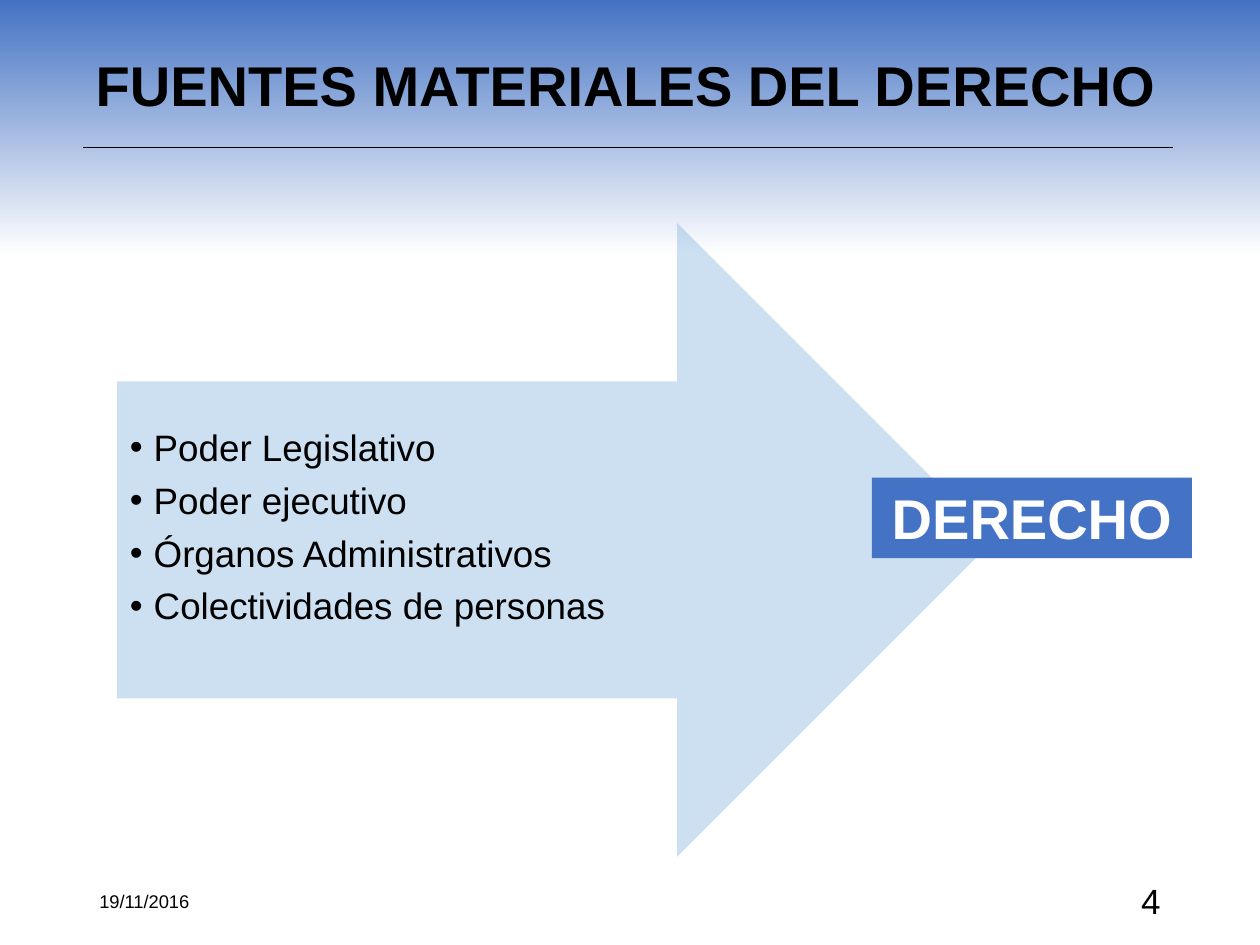
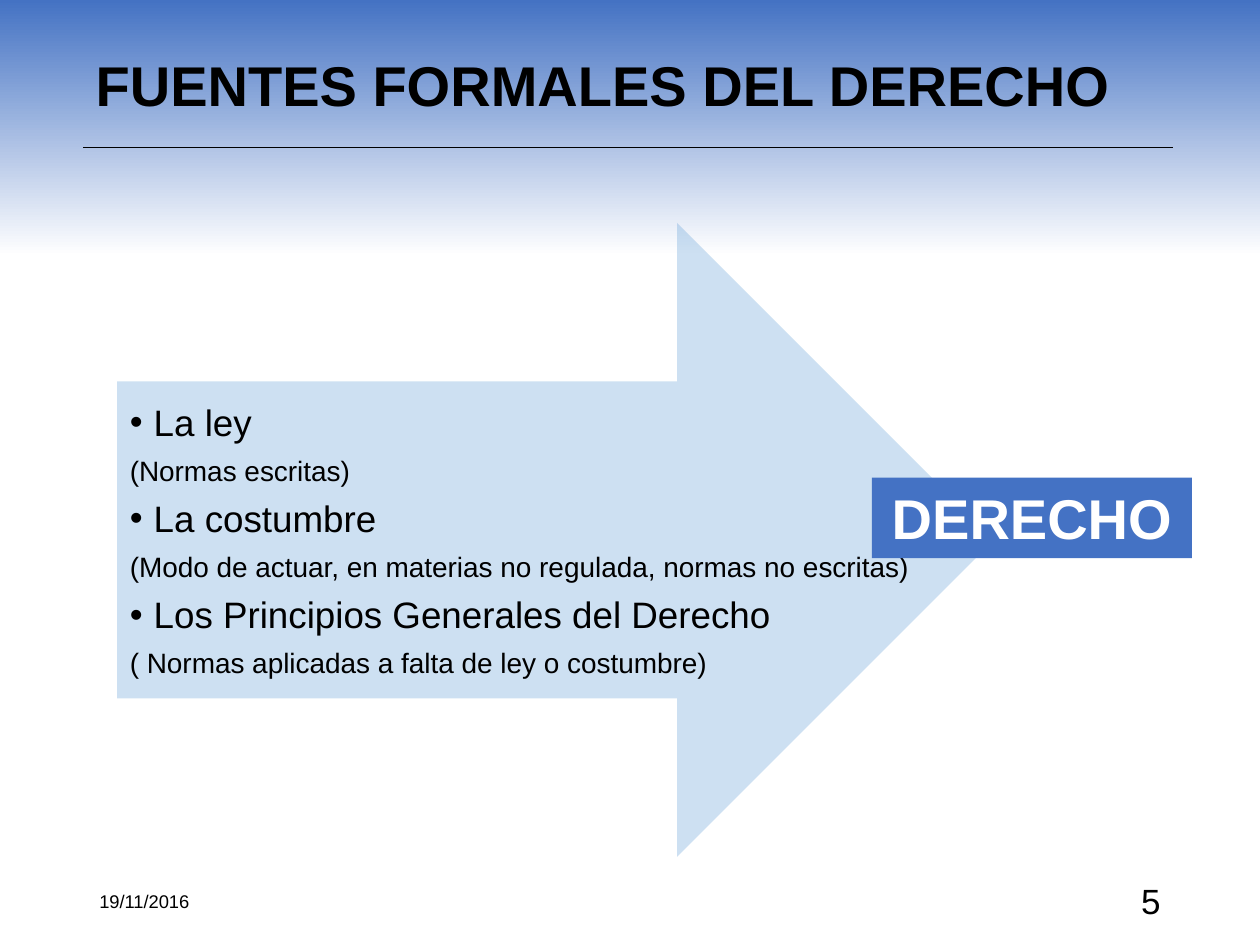
from dataclasses import dataclass

from lxml.etree import SubElement
from pptx import Presentation
from pptx.dml.color import RGBColor
from pptx.enum.shapes import MSO_CONNECTOR as Connector, MSO_SHAPE as Shape
from pptx.enum.text import MSO_ANCHOR as Anchor, MSO_AUTO_SIZE as AutoSize, PP_ALIGN as Align
from pptx.oxml.ns import qn
from pptx.util import Inches, Pt

COLUMNS, ROWS = 100, 75


@dataclass(frozen=True)
class Theme:
    font: str = "Arial"
    ink: str = "000000"
    paper: str = "FFFFFF"
    band: str = "4472C3"
    label: str = "4472C4"
    arrow: str = "5B9BD5"
    arrow_opacity: int = 30
    heading_size: float = 32
    item_size: float = 21
    note_size: float = 16
    date_size: float = 10.5
    number_size: float = 20
    item_gap: float = 7.5
    line_spacing: float = 0.9
    hanging: float = 1.9


class SlideBuilder:
    def __init__(self, presentation, theme):
        self.presentation = presentation
        self.theme = theme
        self.column = presentation.slide_width / COLUMNS
        self.row = presentation.slide_height / ROWS
        self.slide = None

    def box(self, left, top, width, height):
        return (round(left * self.column), round(top * self.row),
                round(width * self.column), round(height * self.row))

    def start(self):
        self.slide = self.presentation.slides.add_slide(self.presentation.slide_layouts[1])

    def style(self, paragraph, size, color=None, bold=False, align=Align.LEFT):
        paragraph.alignment = align
        font = paragraph.font
        font.name, font.size, font.bold = self.theme.font, Pt(size), bold
        font.color.rgb = RGBColor.from_string(color or self.theme.ink)

    def shape(self, kind, *area):
        shape = self.slide.shapes.add_shape(kind, *self.box(*area))
        shape.shadow.inherit = False
        shape.line.fill.background()
        return shape

    def placeholder(self, index, anchor, *area):
        placeholder = self.slide.placeholders[index]
        placeholder.left, placeholder.top, placeholder.width, placeholder.height = self.box(*area)
        self.slide.shapes._spTree.append(placeholder._element)
        frame = placeholder.text_frame
        frame.auto_size, frame.word_wrap = AutoSize.NONE, True
        frame.vertical_anchor = anchor
        return frame

    def band(self):
        fill = self.shape(Shape.RECTANGLE, 0, 0, COLUMNS, 26).fill
        fill.gradient()
        fill.gradient_angle = 90
        stops = ((0.22, self.theme.paper), (1, self.theme.band))
        for stop, (position, color) in zip(fill.gradient_stops, stops):
            stop.position = position
            stop.color.rgb = RGBColor.from_string(color)

    def rule(self):
        left, top, width, _ = self.box(6.6, 11.7, 86.5, 0)
        line = self.slide.shapes.add_connector(Connector.STRAIGHT, left, top, left + width, top)
        line.line.color.rgb = RGBColor.from_string(self.theme.ink)
        line.line.width = Pt(1)
        SubElement(line._element.spPr, qn("a:effectLst"))

    def arrow(self):
        fill = self.shape(Shape.RIGHT_ARROW, 9.3, 17.7, 69.6, 50.3).fill
        fill.solid()
        fill.fore_color.rgb = RGBColor.from_string(self.theme.arrow)
        color = fill._xPr.find(f".//{qn('a:srgbClr')}")
        SubElement(color, qn("a:alpha"), val=str(self.theme.arrow_opacity * 1000))

    def bullet(self, paragraph, shown):
        properties = paragraph._p.get_or_add_pPr()
        indent = round(self.theme.hanging * self.column) if shown else 0
        properties.set("marL", str(indent))
        properties.set("indent", str(-indent))
        if shown:
            SubElement(SubElement(properties, qn("a:buClr")), qn("a:srgbClr"), val=self.theme.ink)
            SubElement(properties, qn("a:buFont"), typeface=self.theme.font)
            SubElement(properties, qn("a:buChar"), char="•")
        else:
            SubElement(properties, qn("a:buNone"))

    def sources(self, lines, *area):
        frame = self.placeholder(1, Anchor.TOP, *area)
        frame.text = "\n".join(lines)
        for position, paragraph in enumerate(frame.paragraphs):
            is_note = paragraph.text.startswith("(")
            paragraph.line_spacing = self.theme.line_spacing
            paragraph.space_before = Pt(self.theme.item_gap if position else 0)
            self.bullet(paragraph, not is_note)
            self.style(paragraph, self.theme.note_size if is_note else self.theme.item_size)

    def title(self, text):
        frame = self.placeholder(0, Anchor.MIDDLE, 6.6, 2.3, 86.5, 9.4)
        frame.text = text
        paragraph = frame.paragraphs[0]
        paragraph.line_spacing = self.theme.line_spacing
        self.style(paragraph, self.theme.heading_size, bold=True)

    def footer(self, text, left, size, align):
        frame = self.slide.shapes.add_textbox(*self.box(left, 69.5, 22.5, 4)).text_frame
        frame.word_wrap = True
        frame.vertical_anchor = Anchor.MIDDLE
        frame.text = text
        self.style(frame.paragraphs[0], size, align=align)

    def label(self, text):
        shape = self.shape(Shape.RECTANGLE, 69.2, 37.9, 25.4, 6.4)
        shape.fill.solid()
        shape.fill.fore_color.rgb = RGBColor.from_string(self.theme.label)
        frame = shape.text_frame
        frame.vertical_anchor = Anchor.TOP
        frame.text = text
        self.style(frame.paragraphs[0], self.theme.heading_size, self.theme.paper, True, Align.CENTER)

    def build(self, number, title, lines, area):
        self.start()
        self.band()
        self.rule()
        self.arrow()
        self.sources(lines, *area)
        self.footer("19/11/2016", 6.9, self.theme.date_size, Align.LEFT)
        self.footer(str(number), 70.6, self.theme.number_size, Align.RIGHT)
        self.title(title)
        self.label("DERECHO")


MATERIAL_SOURCES = (
    "Poder Legislativo",
    "Poder ejecutivo",
    "Órganos Administrativos",
    "Colectividades de personas",
)
FORMAL_SOURCES = (
    "La ley",
    "(Normas escritas)",
    "La costumbre",
    "(Modo de actuar, en materias no regulada, normas no escritas)",
    "Los Principios Generales del Derecho",
    "( Normas aplicadas a falta de ley o costumbre)",
)


def main():
    presentation = Presentation()
    presentation.slide_width, presentation.slide_height = Inches(10), Inches(7.5)
    builder = SlideBuilder(presentation, Theme())
    builder.build(4, "FUENTES MATERIALES DEL DERECHO", MATERIAL_SOURCES, (9.3, 33.6, 45.1, 18.4))
    builder.build(5, "FUENTES FORMALES DEL DERECHO", FORMAL_SOURCES, (9.3, 31.6, 71.1, 25.4))
    presentation.save("out.pptx")


if __name__ == "__main__":
    main()
